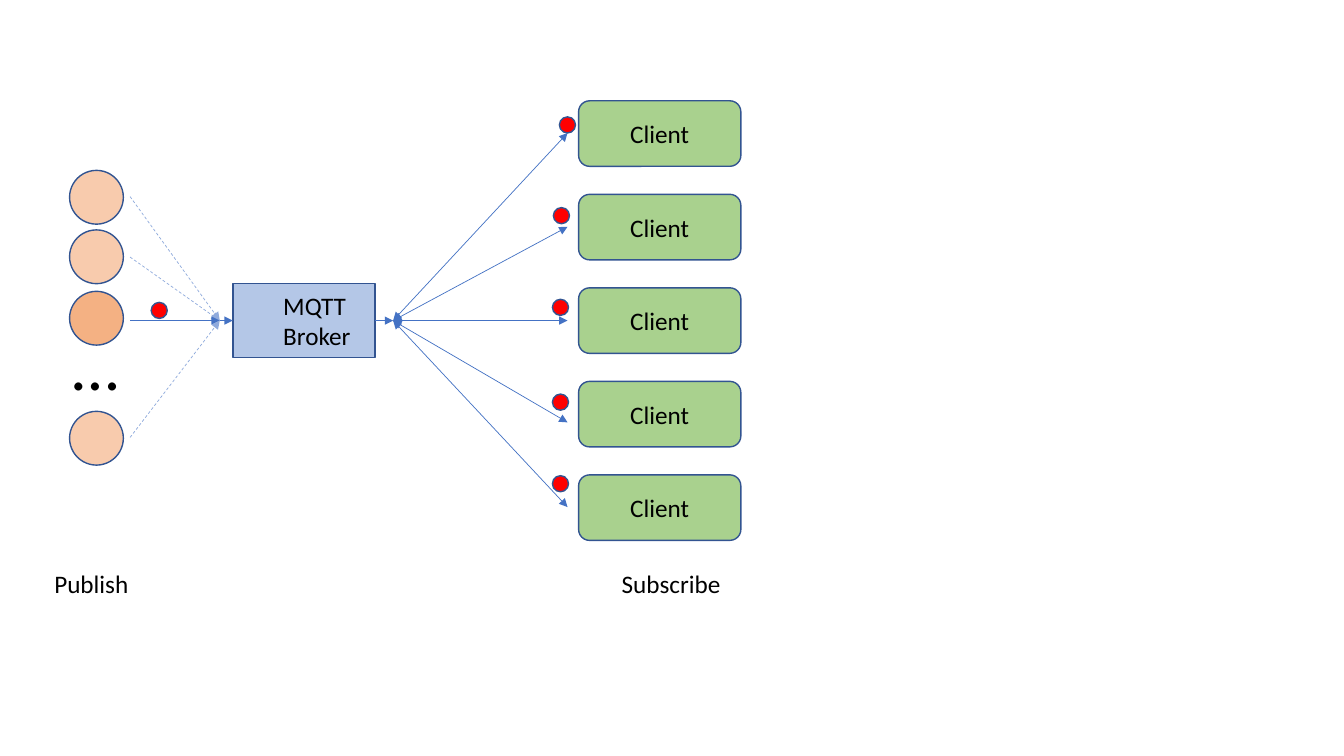
import dataclasses
import typing

import pptx
import pptx.dml.color
import pptx.enum.dml
import pptx.enum.shapes
import pptx.enum.text
import pptx.oxml
import pptx.util

Pt = pptx.util.Pt
Kind = pptx.enum.shapes.MSO_SHAPE
Align = pptx.enum.text.PP_ALIGN
Anchor = pptx.enum.text.MSO_ANCHOR
Dash = pptx.enum.dml.MSO_LINE

EDGE, BLUE, PALE = "325491", "4472C4", "8FAADC"
PEACH, ORANGE, RED = "F8CBAD", "F4B183", "FF0000"
MID = 229


@dataclasses.dataclass
class Box:
    left: float
    top: float
    width: float
    height: float
    fill: str = ""
    kind: typing.Any = Kind.OVAL


@dataclasses.dataclass
class Label:
    text: str
    left: float
    top: float
    width: float
    height: float
    size: float = 18


@dataclasses.dataclass
class Arrow:
    start: tuple[float, float]
    end: tuple[float, float]
    color: str = BLUE
    both: bool = False


def paint(item: typing.Any, color: str) -> None:
    """Give a fill, line or font colour format a hex colour."""
    item.rgb = pptx.dml.color.RGBColor.from_string(color)


def apply(item: typing.Any, values: dict[str, typing.Any]) -> None:
    for name, value in values.items():
        setattr(item, name, value)


def write(shape: typing.Any, text: str, align: typing.Any, size: float = 18) -> typing.Any:
    para = shape.text_frame.paragraphs[0]
    para.alignment = align
    run = para.add_run()
    run.text = text
    apply(run.font, {"name": "Calibri", "size": Pt(size)})
    paint(run.font.color, "000000")
    return para


def add_box(slide: typing.Any, box: Box) -> typing.Any:
    shape = slide.shapes.add_shape(
        box.kind, Pt(box.left), Pt(box.top), Pt(box.width), Pt(box.height))
    shape.shadow.inherit = False
    shape.fill.solid()
    paint(shape.fill.fore_color, box.fill)
    paint(shape.line.color, EDGE)
    shape.line.width = Pt(1)
    return shape


def add_label(slide: typing.Any, label: Label) -> None:
    shape = slide.shapes.add_textbox(
        Pt(label.left), Pt(label.top), Pt(label.width), Pt(label.height))
    apply(shape.text_frame, {
        "word_wrap": False,
        "auto_size": pptx.enum.text.MSO_AUTO_SIZE.SHAPE_TO_FIT_TEXT,
    })
    write(shape, label.text, Align.LEFT, label.size)


def add_arrow(slide: typing.Any, arrow: Arrow) -> typing.Any:
    line = slide.shapes.add_connector(
        pptx.enum.shapes.MSO_CONNECTOR.STRAIGHT,
        *(Pt(value) for value in arrow.start + arrow.end))
    paint(line.line.color, arrow.color)
    line.line.width = Pt(0.5)
    if arrow.color == PALE:
        line.line.dash_style = Dash.DASH
    # Arrowheads and no shadow
    stroke = line.line._get_or_add_ln()
    for tag in ("headEnd", "tailEnd") if arrow.both else ("tailEnd",):
        stroke.append(make_node(tag, ' type="triangle"'))
    line._element.spPr.append(make_node("effectLst"))
    return line


def make_node(tag: str, extra: str = "") -> typing.Any:
    space = "http://schemas.openxmlformats.org/drawingml/2006/main"
    return pptx.oxml.parse_xml(f'<a:{tag} xmlns:a="{space}"{extra}/>')


def main() -> None:
    deck = pptx.Presentation()
    apply(deck, {"slide_width": Pt(960), "slide_height": Pt(540)})
    slide = deck.slides.add_slide(deck.slide_layouts[6])

    # Broker
    broker = add_box(slide, Box(166.3, MID - 26.6, 101.5, 53.2, "B4C7E7", Kind.RECTANGLE))
    apply(broker.text_frame, {
        "margin_left": 0, "margin_right": 0,
        "vertical_anchor": Anchor.MIDDLE, "word_wrap": True,
    })
    para = write(broker, "MQTT Broker", Align.LEFT)
    para.level = 1
    para._p.get_or_add_pPr().set("marL", str(Pt(36)))

    # Publishers
    for top in (121.7, 164.2, 208.1, 293.8):
        fill = ORANGE if top == 208.1 else PEACH
        add_box(slide, Box(49.7, top, 38.4, 38.4, fill))
    add_label(slide, Label("…", 44.6, 227.5, 48.2, 65.5, 48))

    # Subscribers
    for row in range(5):
        client = add_box(slide, Box(
            413.3, 72 + 66.8 * row, 115.9, 46.8, "A9D18E", Kind.ROUNDED_RECTANGLE))
        apply(client.text_frame, {"vertical_anchor": Anchor.MIDDLE, "word_wrap": True})
        write(client, "Client", Align.CENTER)

    # Arrows out to the clients and in from the publishers
    hub, port = (280.8, MID), (157, MID)
    for end in (95, 162, MID, 301.7, 362.2):
        add_arrow(slide, Arrow(hub, (405.4, end), both=True))
    for start in (140.4, 183.6, MID, 312.5):
        add_arrow(slide, Arrow((92.9, start), port, BLUE if start == MID else PALE))
    add_arrow(slide, Arrow(port, (166.3, MID))).end_connect(broker, 1)
    add_arrow(slide, Arrow((267.8, MID), hub)).begin_connect(broker, 3)

    # Captions
    add_label(slide, Label("Publish", 31.7, 402.5, 68.4, 28.8))
    add_label(slide, Label("Subscribe", 437, 402.5, 85.7, 28.8))

    # Messages
    for left, top in ((399.6, 83.5), (395.3, 148.3), (394.6, 213.8),
                      (394.6, 281.5), (394.6, 339.8), (108, 216)):
        add_box(slide, Box(left, top, 11.5, 11.5, RED))

    deck.save("out.pptx")


if __name__ == "__main__":
    main()
